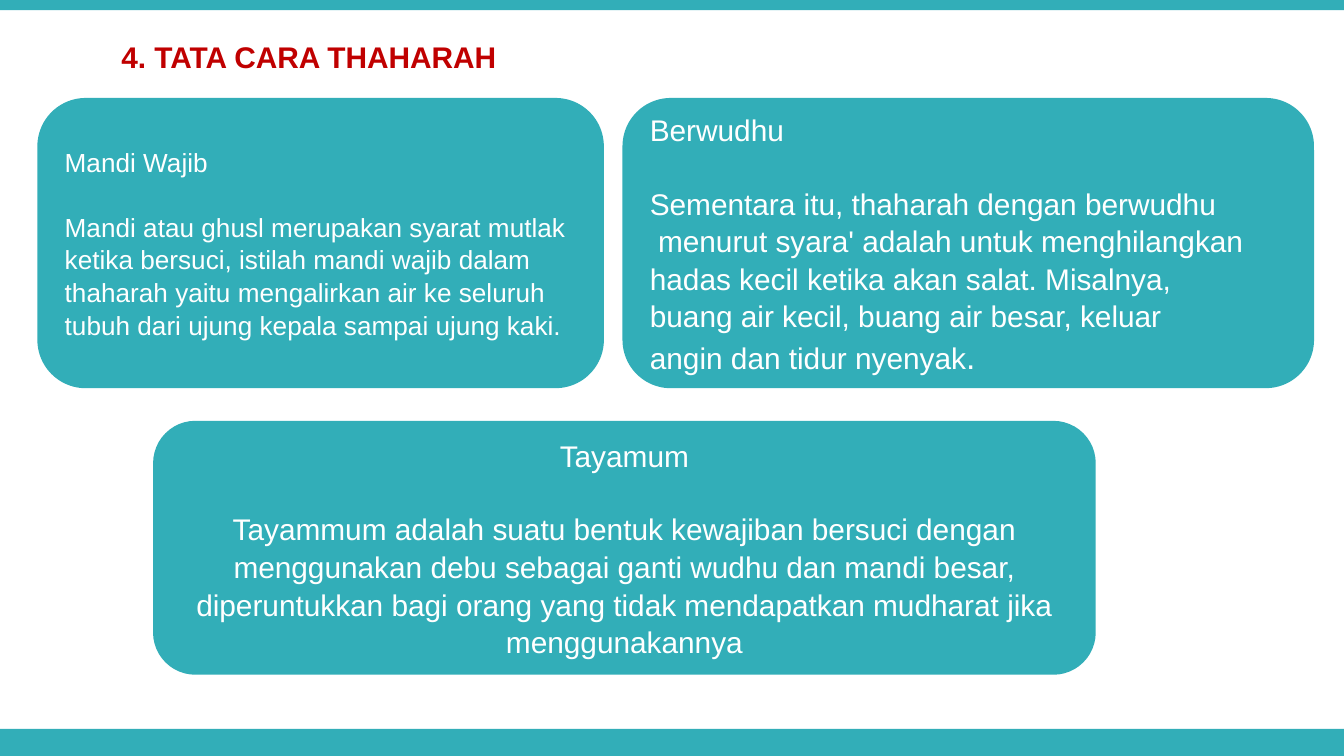
from pptx import Presentation
from pptx.dml.color import RGBColor
from pptx.enum.shapes import MSO_SHAPE as Kind
from pptx.enum.text import MSO_ANCHOR as Anchor, MSO_AUTO_SIZE as Fit, PP_ALIGN as Align
from pptx.util import Pt

TEAL, RED, WHITE = "32AEB8", "C00000", "FFFFFF"
WIDE, HIGH = 720, 405
TITLE = "4. TATA CARA THAHARAH"
BARS = [(0, 0, WIDE, 5.5), (0, 390.5, WIDE, 14.5)]
CARDS = [
    {"head": "Mandi Wajib", "at": (20, 52.5, 303.5, 155.5), "size": 14, "align": Align.LEFT,
     "body": ["Mandi atau ghusl merupakan syarat mutlak ketika bersuci, istilah mandi wajib "
              "dalam thaharah yaitu mengalirkan air ke seluruh tubuh dari ujung kepala "
              "sampai ujung kaki."], "end": ""},
    {"head": "Berwudhu", "at": (333.5, 52.5, 370.5, 155.5), "size": 16, "align": Align.JUSTIFY,
     "body": ["Sementara itu, thaharah dengan berwudhu",
              " menurut syara' adalah untuk menghilangkan",
              "hadas kecil ketika akan salat. Misalnya,",
              "buang air kecil, buang air besar, keluar",
              "angin dan tidur nyenyak"], "end": "."},
    {"head": "Tayamum", "at": (82, 225.5, 505, 136), "size": 16, "align": Align.CENTER,
     "body": ["Tayammum adalah suatu bentuk kewajiban bersuci dengan menggunakan debu sebagai "
              "ganti wudhu dan mandi besar, diperuntukkan bagi orang yang tidak mendapatkan "
              "mudharat jika menggunakannya"], "end": ""},
]


def hue(code):
    """Turn a hex string into a colour."""
    return RGBColor.from_string(code)


def put(item, values):
    """Set each named value on an item."""
    for name, value in values.items():
        setattr(item, name, value)


def write(para, text, size, color, bold=False):
    """Add a formatted run to a paragraph."""
    run = para.add_run()
    run.text = text
    put(run.font, {"name": "Arial", "size": Pt(size), "bold": bold})
    run.font.color.rgb = hue(color)


def block(slide, kind, at):
    """Add a flat teal shape."""
    shape = slide.shapes.add_shape(kind, *map(Pt, at))
    shape.shadow.inherit = False
    shape.fill.solid()
    shape.fill.fore_color.rgb = hue(TEAL)
    shape.line.fill.background()
    return shape


def card(slide, data):
    """Add a rounded card with a heading and its text."""
    frame = block(slide, Kind.FLOWCHART_ALTERNATE_PROCESS, data["at"]).text_frame
    put(frame, {"word_wrap": True, "vertical_anchor": Anchor.MIDDLE})
    size = data["size"]
    for i, line in enumerate([data["head"], *data["body"]]):
        para = frame.add_paragraph() if i else frame.paragraphs[0]
        put(para, {"alignment": data["align"], "line_spacing": 1.05,
                   "space_after": Pt(0 if i else 1.2 * size)})
        write(para, line, size, WHITE)
    if data["end"]:
        write(para, data["end"], size + 2, WHITE)


def main():
    """Build and save the slide."""
    deck = Presentation()
    put(deck, {"slide_width": Pt(WIDE), "slide_height": Pt(HIGH)})
    slide = deck.slides.add_slide(deck.slide_layouts[5])
    for at in BARS:
        block(slide, Kind.RECTANGLE, at)
    title = slide.shapes.title
    put(title, {"left": Pt(8.5), "top": Pt(11), "width": Pt(314), "height": Pt(54.5)})
    frame = title.text_frame
    put(frame, {"word_wrap": True, "auto_size": Fit.NONE,
                "vertical_anchor": Anchor.TOP, "margin_top": Pt(9.5)})
    para = frame.paragraphs[0]
    para.alignment = Align.CENTER
    write(para, TITLE, 16, RED, True)
    for data in CARDS:
        card(slide, data)
    deck.save("out.pptx")


if __name__ == "__main__":
    main()
